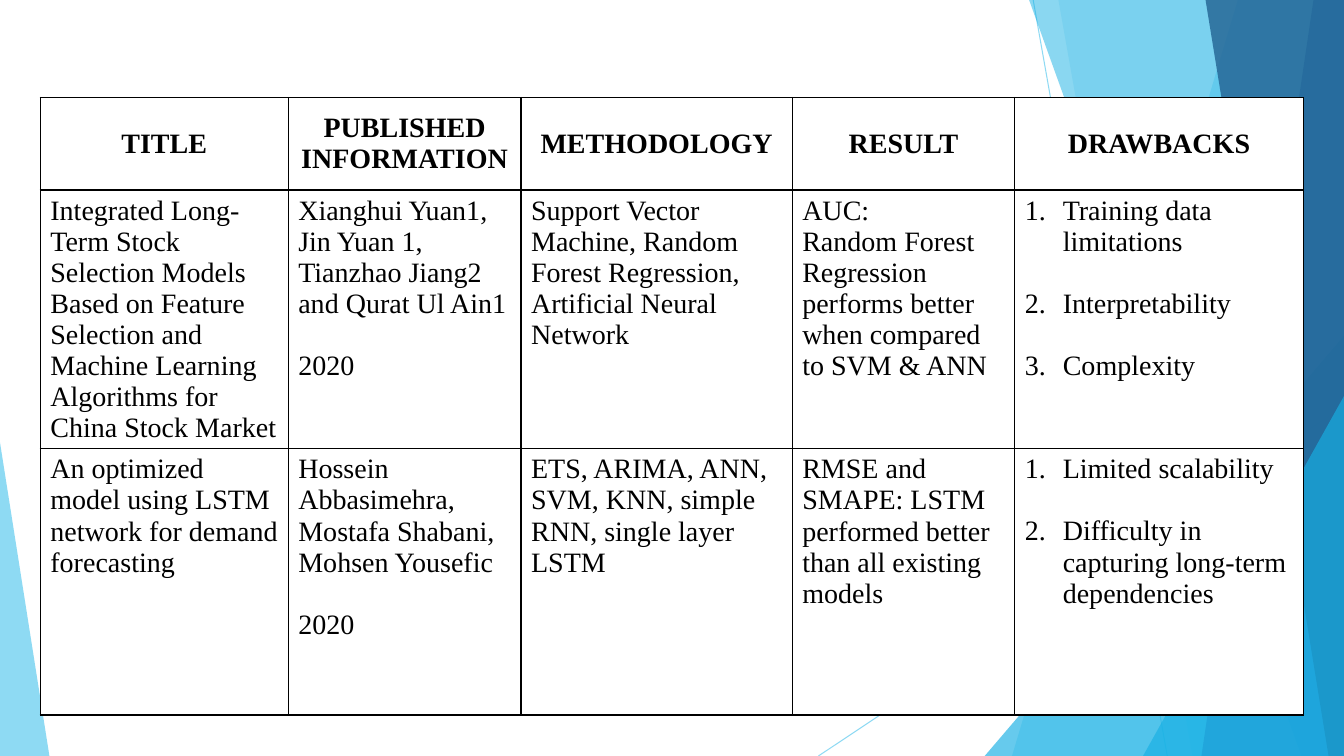
"""Build a slide with a literature survey table over faceted blue panels."""
from dataclasses import dataclass

from lxml.etree import SubElement
from pptx import Presentation
from pptx.dml.color import RGBColor
from pptx.enum.shapes import MSO_CONNECTOR, MSO_SHAPE
from pptx.enum.text import MSO_ANCHOR, PP_ALIGN
from pptx.oxml.ns import qn
from pptx.util import Pt

WIDE, HIGH = 960, 540
FONT, SIZE = "Times New Roman", 20
GAP, HANG = 22.15, 27
HUES = {
    "sky": "5FCBEF",
    "aqua": "17B0E4",
    "blue": "2E83C3",
    "navy": "226292",
    "ink": "000000",
    "paper": "FFFFFF",
}


@dataclass
class Ray:
    x1: float
    y1: float
    x2: float
    y2: float


@dataclass
class Panel:
    top: float
    base: float
    hue: str
    alpha: int


@dataclass
class Wedge:
    left: float
    top: float
    wide: float
    tip: int
    hue: str
    alpha: int


@dataclass
class Para:
    text: str
    gap: float = 0
    listed: bool = False


RAYS = [Ray(738, 0, 833.8, HIGH), Ray(WIDE, 290.2, 584.6, HIGH)]
FACETS = [
    Panel(884.2, 722.9, "sky", 36),
    Panel(756, 851.8, "sky", 20),
    Wedge(703.4, 239.8, 256.6, 1, "aqua", 66),
    Panel(735.1, 929.5, "aqua", 50),
    Panel(938.2, 858.2, "blue", 70),
    Panel(861.1, 949, "navy", 80),
    Wedge(816.5, 283, 143.5, 1, "aqua", 66),
    Wedge(0, 316.1, 35.3, 0, "sky", 70),
]
COLS = [177.1, 166.3, 193.7, 159.1, 205.9]
ROWS = [66.2, 172.8, 190.1]
HEADS = ["TITLE", "PUBLISHED INFORMATION", "METHODOLOGY", "RESULT", "DRAWBACKS"]


def steps(*texts: str) -> list[Para]:
    return [Para(text, GAP if i else 0, True) for i, text in enumerate(texts)]


BODY = [
    [
        [
            Para("Integrated Long-Term Stock Selection Models"),
            Para("Based on Feature Selection and Machine Learning"),
            Para("Algorithms for China Stock Market"),
        ],
        [
            Para("Xianghui Yuan1,"),
            Para("Jin Yuan 1,"),
            Para("Tianzhao Jiang2 and Qurat Ul Ain1"),
            Para("2020", GAP),
        ],
        [Para("Support Vector Machine, Random Forest Regression, Artificial Neural Network")],
        [
            Para("AUC:"),
            Para("Random Forest Regression performs better when compared to SVM & ANN"),
        ],
        steps("Training data limitations", "Interpretability", "Complexity"),
    ],
    [
        [Para("An optimized model using LSTM network for demand forecasting")],
        [Para("Hossein Abbasimehra, Mostafa Shabani, Mohsen Yousefic"), Para("2020", GAP)],
        [Para("ETS, ARIMA, ANN, SVM, KNN, simple RNN, single layer LSTM")],
        [Para("RMSE and SMAPE: LSTM performed better than all existing models")],
        steps("Limited scalability", "Difficulty in capturing long-term dependencies"),
    ],
]


def shade(hue: str) -> RGBColor:
    return RGBColor.from_string(HUES[hue])


def fade(shape, alpha: int) -> None:
    color = next(shape._element.spPr.iter(qn("a:srgbClr")))
    SubElement(color, qn("a:alpha"), val=str(alpha * 1000))


def draw_ray(slide, ray: Ray) -> None:
    ends = [Pt(v) for v in (ray.x1, ray.y1, ray.x2, ray.y2)]
    line = slide.shapes.add_connector(MSO_CONNECTOR.STRAIGHT, *ends)
    line.line.color.rgb = shade("sky")
    line.line.width = Pt(0.75)
    fade(line, 70)
    SubElement(line._element.spPr, qn("a:effectLst"))


def draw_facet(slide, facet: Panel | Wedge) -> None:
    if isinstance(facet, Panel):
        path = slide.shapes.build_freeform(Pt(facet.top), 0)
        rest = [(WIDE, 0), (WIDE, HIGH), (facet.base, HIGH)]
        path.add_line_segments([(Pt(x), Pt(y)) for x, y in rest])
        shape = path.convert_to_shape()
    else:
        box = (facet.left, facet.top, facet.wide, HIGH - facet.top)
        shape = slide.shapes.add_shape(
            MSO_SHAPE.ISOSCELES_TRIANGLE, *[Pt(v) for v in box]
        )
        shape.adjustments[0] = facet.tip
    shape.shadow.inherit = False
    shape.line.fill.background()
    shape.fill.solid()
    shape.fill.fore_color.rgb = shade(facet.hue)
    fade(shape, facet.alpha)


def write(para, text: str, *, bold: bool = False, align=PP_ALIGN.LEFT,
          gap: float = 0, listed: bool = False) -> None:
    para.alignment = align
    if gap:
        para.space_before = Pt(gap)
    if listed:
        props = para._p.get_or_add_pPr()
        props.set("marL", str(Pt(HANG)))
        props.set("indent", str(-Pt(HANG)))
        SubElement(props, qn("a:buFont"), typeface="+mj-lt")
        SubElement(props, qn("a:buAutoNum"), type="arabicPeriod")
    run = para.add_run()
    run.text = text
    font = run.font
    font.name, font.size, font.bold = FONT, Pt(SIZE), bold
    font.color.rgb = shade("ink")


def style(cell) -> None:
    props = cell._tc.get_or_add_tcPr()
    for side in ("lnL", "lnR", "lnT", "lnB"):
        edge = SubElement(props, qn(f"a:{side}"), w=str(Pt(1)))
        fill = SubElement(edge, qn("a:solidFill"))
        SubElement(fill, qn("a:srgbClr"), val=HUES["ink"])
    cell.fill.solid()
    cell.fill.fore_color.rgb = shade("paper")


def draw_table(slide) -> None:
    box = (28.8, 69.6, sum(COLS), sum(ROWS))
    table = slide.shapes.add_table(len(ROWS), len(COLS), *[Pt(v) for v in box]).table
    table.horz_banding = False
    for col, wide in zip(table.columns, COLS):
        col.width = Pt(wide)
    for row, high in zip(table.rows, ROWS):
        row.height = Pt(high)
    for c, head in enumerate(HEADS):
        cell = table.cell(0, c)
        cell.vertical_anchor = MSO_ANCHOR.MIDDLE
        write(cell.text_frame.paragraphs[0], head, bold=True, align=PP_ALIGN.CENTER)
    for r, row in enumerate(BODY, 1):
        for c, paras in enumerate(row):
            frame = table.cell(r, c).text_frame
            for i, item in enumerate(paras):
                para = frame.add_paragraph() if i else frame.paragraphs[0]
                write(para, item.text, gap=item.gap, listed=item.listed)
    for cell in table.iter_cells():
        style(cell)


def main() -> None:
    deck = Presentation()
    deck.slide_width, deck.slide_height = Pt(WIDE), Pt(HIGH)
    slide = deck.slides.add_slide(deck.slide_layouts[6])
    for ray in RAYS:
        draw_ray(slide, ray)
    for facet in FACETS:
        draw_facet(slide, facet)
    draw_table(slide)
    deck.save("out.pptx")


if __name__ == "__main__":
    main()
